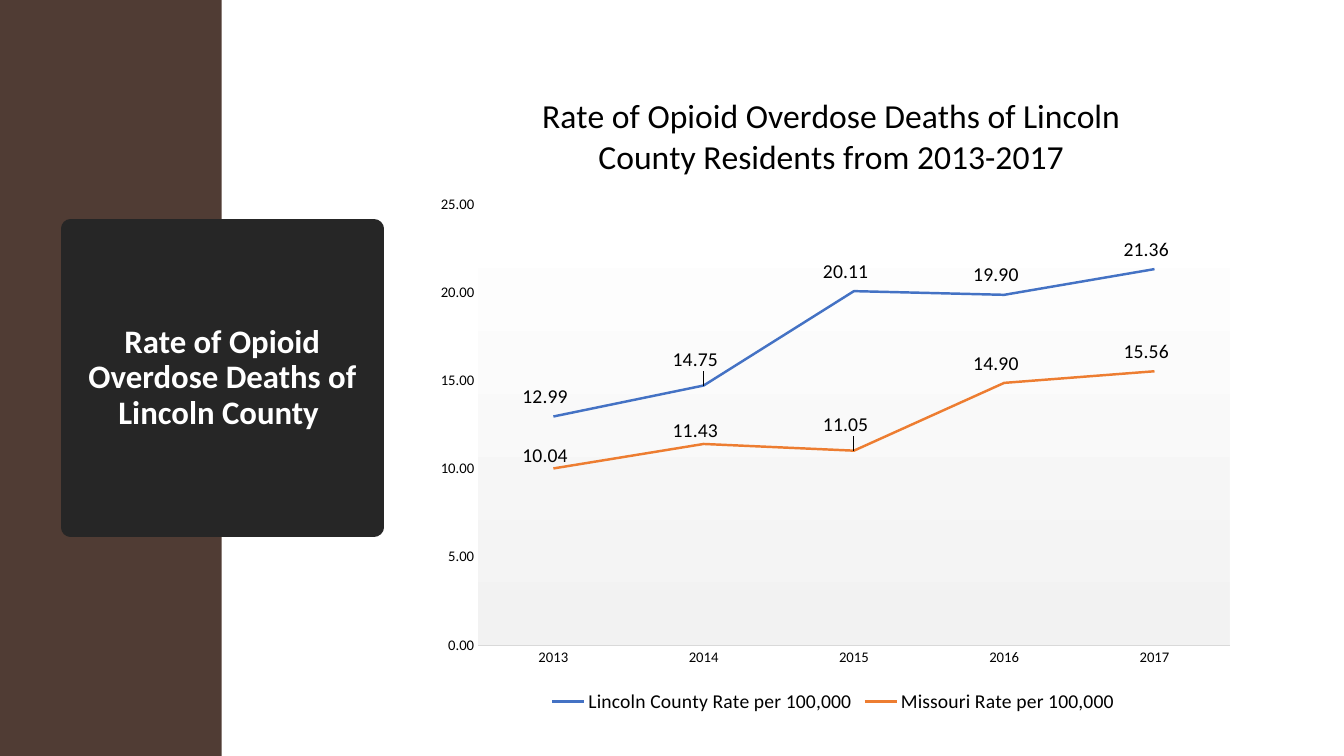
from lxml import etree
from pptx import Presentation
from pptx import util as u
from pptx.chart.data import CategoryChartData
from pptx.dml.color import RGBColor
from pptx.enum import chart as charts, shapes, text
from pptx.oxml import parse_xml
from pptx.oxml.ns import nsdecls, qn

WIDTH, HEIGHT = u.Inches(13.33), u.Inches(7.5)
FONT = "Calibri"
YEARS = ["2013", "2014", "2015", "2016", "2017"]
RATES = [
    ("Lincoln County Rate per 100,000", "4472C4",
     [12.99, 14.75, 20.11, 19.90, 21.36], [0.03, 0.04, 0.03, 0.03, 0.03]),
    ("Missouri Rate per 100,000", "ED7D31",
     [10.04, 11.43, 11.05, 14.90, 15.56], [0.02, 0.02, 0.04, 0.03, 0.03]),
]


def color(value):
    return RGBColor.from_string(value)


def box(left, top, width, height):
    return [u.Inches(value) for value in (left, top, width, height)]


def paint(part, value):
    part.fill.solid()
    part.fill.fore_color.rgb = color(value)


def style_font(font, size, value="000000", bold=False):
    font.name = FONT
    font.size = u.Pt(size)
    font.bold = bold
    font.color.rgb = color(value)


def set_layout(parent, index, **settings):
    layout = parent.find(qn("c:layout"))
    if layout is None:
        layout = parse_xml(f"<c:layout {nsdecls('c')}/>")
        parent.insert(index, layout)
    manual = etree.SubElement(layout, qn("c:manualLayout"))
    for name, value in settings.items():
        etree.SubElement(manual, qn(f"c:{name}")).set("val", str(value))


def add_side_band(slide):
    band = slide.shapes.add_shape(shapes.MSO_SHAPE.RECTANGLE, *box(0, 0, 2.2, 7.5))
    band.shadow.inherit = False
    paint(band, "503C34")
    band.line.fill.background()
    slide.shapes._spTree.insert(2, band._element)


def format_title(title, words):
    title.left, title.top, title.width, title.height = box(0.7, 2.27, 3.01, 2.96)
    paint(title, "262626")
    title.line.color.rgb = color("262626")
    title.line.width = u.Pt(13.75)
    etree.SubElement(title.line._get_or_add_ln(), qn("a:round"))
    frame = title.text_frame
    frame.word_wrap = True
    frame.auto_size = text.MSO_AUTO_SIZE.NONE
    frame.vertical_anchor = text.MSO_ANCHOR.MIDDLE
    paragraph = frame.paragraphs[0]
    paragraph.alignment = text.PP_ALIGN.CENTER
    paragraph.line_spacing = 0.9
    run = paragraph.add_run()
    run.text = words
    style_font(run.font, 23.4, "FFFFFF", True)


def format_axes(chart):
    for axis in (chart.category_axis, chart.value_axis):
        axis.has_major_gridlines = False
        axis.major_tick_mark = axis.minor_tick_mark = charts.XL_TICK_MARK.NONE
        style_font(axis.tick_labels.font, 10.5)
    chart.category_axis.format.line.color.rgb = color("D9D9D9")
    chart.category_axis.format.line.width = u.Pt(0.75)
    values = chart.value_axis
    values.format.line.fill.background()
    values.minimum_scale, values.maximum_scale, values.major_unit = 0, 25, 5
    values.tick_labels.number_format = "0.00"
    values.tick_labels.number_format_is_linked = False


def format_series(series, line_color, lifts):
    series.smooth = False
    series.marker.style = charts.XL_MARKER_STYLE.NONE
    series.format.line.color.rgb = color(line_color)
    series.format.line.width = u.Pt(1.75)
    for index, lift in enumerate(lifts):
        label = series.points[index].data_label
        style_font(label.font, 14)
        label.position = charts.XL_LABEL_POSITION.CENTER
        set_layout(label._get_or_add_dLbl(), 1, x=-0.01, y=-lift)
    labels = series.data_labels
    style_font(labels.font, 14)
    labels.show_value = True
    labels.number_format = "0.00"
    labels.number_format_is_linked = False
    labels.position = charts.XL_LABEL_POSITION.CENTER


def fill_chart(chart):
    space = chart._chartSpace
    space.chart.addnext(parse_xml(
        f'<c:spPr {nsdecls("c", "a")}><a:solidFill><a:srgbClr val="FFFFFF"/>'
        '</a:solidFill><a:ln><a:noFill/></a:ln></c:spPr>'))
    plot_area = space.chart.plotArea
    plot_area.append(parse_xml(
        f'<c:spPr {nsdecls("c", "a")}><a:gradFill><a:gsLst>'
        '<a:gs pos="0"><a:srgbClr val="FFFFFF"/></a:gs>'
        '<a:gs pos="100000"><a:srgbClr val="F2F2F2"/></a:gs>'
        '</a:gsLst><a:lin ang="5400000" scaled="0"/></a:gradFill>'
        '<a:ln><a:noFill/></a:ln></c:spPr>'))
    set_layout(plot_area, 0, layoutTarget="inner", xMode="edge", yMode="edge",
               x=0.07, y=0.22, w=0.91, h=0.67)


def add_rate_chart(slide, heading):
    data = CategoryChartData(number_format="0.00")
    data.categories = YEARS
    for name, _, values, _ in RATES:
        data.add_series(name, values)
    chart = slide.shapes.add_chart(
        charts.XL_CHART_TYPE.LINE, *box(4.17, 0.6, 8.19, 6.52), data).chart
    style_font(chart.font, 10)
    chart.plots[0].vary_by_categories = False
    chart.has_title = True
    paragraph = chart.chart_title.text_frame.paragraphs[0]
    paragraph.alignment = text.PP_ALIGN.CENTER
    run = paragraph.add_run()
    run.text = heading
    style_font(run.font, 24)
    set_layout(chart.chart_title._element, 1, xMode="edge", yMode="edge", x=0.14, y=0.04)
    chart.has_legend = True
    chart.legend.position = charts.XL_LEGEND_POSITION.BOTTOM
    chart.legend.include_in_layout = False
    style_font(chart.legend.font, 14)
    format_axes(chart)
    for series, (_, line_color, _, lifts) in zip(chart.plots[0].series, RATES):
        format_series(series, line_color, lifts)
    fill_chart(chart)


def main():
    presentation = Presentation()
    presentation.slide_width, presentation.slide_height = WIDTH, HEIGHT
    slide = presentation.slides.add_slide(presentation.slide_layouts[5])
    add_side_band(slide)
    format_title(slide.shapes.title, "Rate of Opioid Overdose Deaths of Lincoln County ")
    add_rate_chart(slide, "Rate of Opioid Overdose Deaths of Lincoln County Residents from 2013-2017")
    presentation.save("out.pptx")


if __name__ == "__main__":
    main()
